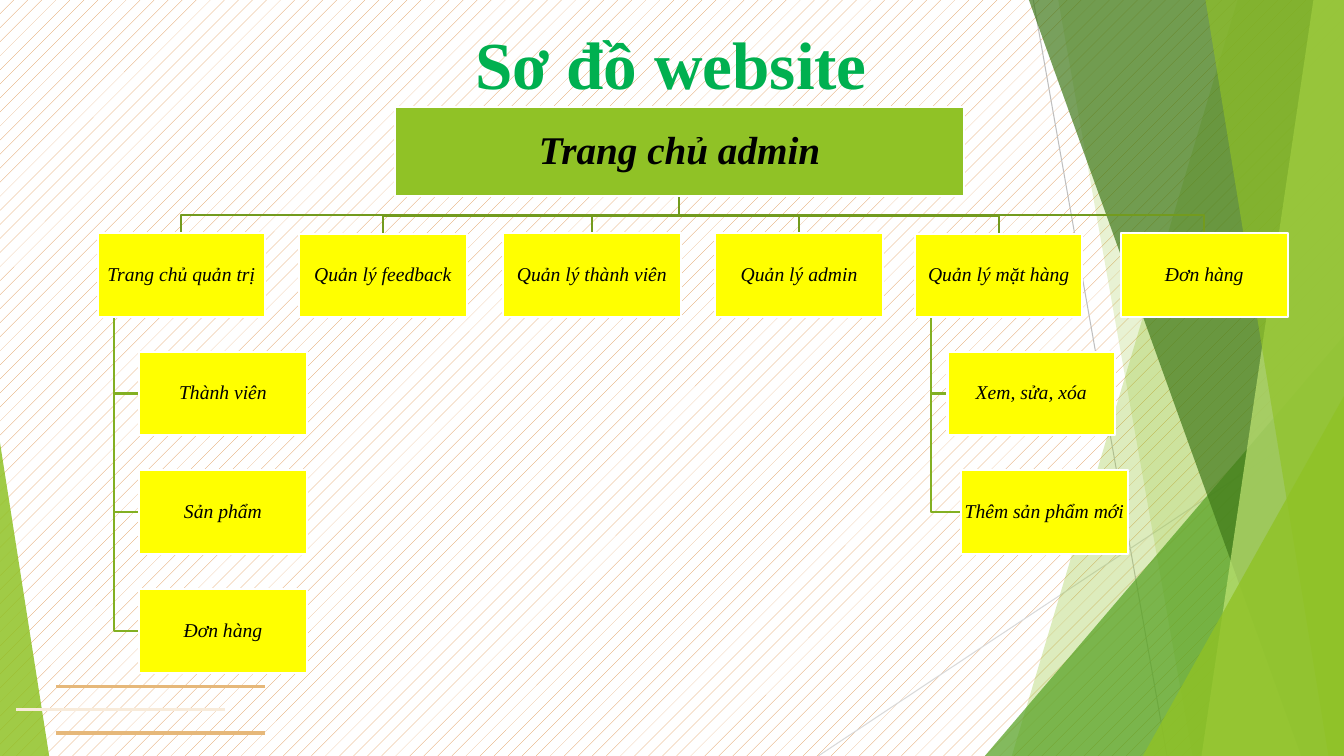
import pptx
import pptx.dml.color
import pptx.enum.dml
import pptx.enum.shapes
import pptx.enum.text
import pptx.oxml
import pptx.oxml.ns
import pptx.util
from lxml import etree

Cm, Pt = pptx.util.Cm, pptx.util.Pt
MSO_SHAPE = pptx.enum.shapes.MSO_SHAPE
qn = pptx.oxml.ns.qn
WIDTH, HEIGHT = 33.87, 19.05


def rgb(hex_string):
    return pptx.dml.color.RGBColor.from_string(hex_string)


def add_line(x1, y1, x2, y2, color, width):
    s = shapes.add_connector(pptx.enum.shapes.MSO_CONNECTOR.STRAIGHT,
                             Cm(x1), Cm(y1), Cm(x2), Cm(y2))
    s.line.color.rgb = rgb(color)
    s.line.width = Pt(width)
    etree.SubElement(s._element.spPr, qn("a:effectLst"))


prs = pptx.Presentation()
prs.slide_width, prs.slide_height = Cm(WIDTH), Cm(HEIGHT)
slide = prs.slides.add_slide(prs.slide_layouts[6])
shapes = slide.shapes

bg = slide.background.fill
bg.patterned()
bg.pattern = pptx.enum.dml.MSO_PATTERN.PERCENT_5
bg.fore_color.rgb = rgb("DD9048")
bg.back_color.rgb = rgb("FFFFFF")

# Green facets: a panel is (top x, bottom x) of its left edge and runs to the
# right edge of the slide; a triangle is (left, top, width, height, apex)
add_line(26.04, 0, 29.41, HEIGHT, "BFBFBF", 0.75)
add_line(WIDTH, 10.24, 20.62, HEIGHT, "D9D9D9", 0.75)
facets = [
    ("panel", (31.19, 25.5), "90C226", 30),
    ("panel", (26.67, 30.05), "90C226", 20),
    ("triangle", (24.82, 8.46, 9.05, 10.59, 1), "54A021", 72),
    ("panel", (25.93, 32.79), "3F7819", 70),
    ("panel", (33.1, 30.28), "C0E474", 70),
    ("panel", (30.38, 33.48), "90C226", 65),
    ("triangle", (28.8, 9.98, 5.07, 9.07, 1), "90C226", 80),
    ("triangle", (0, 11.15, 1.24, 7.9, 0), "90C226", 85),
]
for kind, geometry, color, opacity in facets:
    if kind == "panel":
        top_x, bottom_x = geometry
        builder = shapes.build_freeform(Cm(top_x), Cm(0))
        builder.add_line_segments([(Cm(WIDTH), Cm(0)), (Cm(WIDTH), Cm(HEIGHT)),
                                   (Cm(bottom_x), Cm(HEIGHT))], close=True)
        s = builder.convert_to_shape()
    else:
        *box, apex = geometry
        s = shapes.add_shape(MSO_SHAPE.ISOSCELES_TRIANGLE, *map(Cm, box))
        s.adjustments[0] = apex
    s.shadow.inherit = False
    s.line.fill.background()
    s.fill.solid()
    s.fill.fore_color.rgb = rgb(color)
    clr = s._element.spPr.find(qn("a:solidFill"))[0]
    etree.SubElement(clr, qn("a:alpha")).set("val", str(opacity * 1000))

# Site map: (label, left, top, width, left edges and labels of the sub-pages)
BOX_W, BOX_H = 4.22, 2.11
ROOT_X, ROOT_BOTTOM = 17.12, 4.97
SUB_TOP, SUB_STEP = 8.86, 2.99
pages = [
    ("Trang chủ quản trị", 2.46, 5.87, BOX_W,
     [(3.51, "Thành viên"), (3.51, "Sản phẩm"), (3.51, "Đơn hàng")]),
    ("Quản lý feedback", 7.54, 5.89, BOX_W, []),
    ("Quản lý thành viên", 12.67, 5.87, 4.5, []),
    ("Quản lý admin", 18.03, 5.87, BOX_W, []),
    ("Quản lý mặt hàng", 23.06, 5.89, BOX_W,
     [(23.88, "Xem, sửa, xóa"), (24.21, "Thêm sản phẩm mới")]),
    ("Đơn hàng", 28.24, 5.87, BOX_W, []),
]
boxes = [("Trang chủ admin", 9.96, 2.69, 14.33, 2.26, "90C226", 28, True)]
branches = []
for label, left, top, width, subs in pages:
    boxes.append((label, left, top, width, BOX_H, "FFFF00", 14, False))
    bend, center = (ROOT_BOTTOM + top) / 2, left + width / 2
    branches.append(("739B1E", [(ROOT_X, ROOT_BOTTOM), (ROOT_X, bend),
                                (center, bend), (center, top)]))
    trunk = left + 0.41
    for i, (sub_left, sub_label) in enumerate(subs):
        sub_top = SUB_TOP + i * SUB_STEP
        middle = sub_top + BOX_H / 2
        boxes.append((sub_label, sub_left, sub_top, BOX_W, BOX_H, "FFFF00", 14, False))
        branches.append(("83B022", [(trunk, top + BOX_H), (trunk, middle),
                                    (sub_left, middle)]))

for color, points in branches:
    start, *rest = [(Cm(x), Cm(y)) for x, y in points]
    builder = shapes.build_freeform(*start)
    builder.add_line_segments(rest, close=False)
    s = builder.convert_to_shape()
    s.shadow.inherit = False
    s.fill.background()
    s.line.color.rgb = rgb(color)
    s.line.width = Pt(1.5)

texts = []
for label, left, top, width, height, color, size, bold in boxes:
    s = shapes.add_shape(MSO_SHAPE.RECTANGLE, Cm(left), Cm(top), Cm(width), Cm(height))
    s.shadow.inherit = False
    s.fill.solid()
    s.fill.fore_color.rgb = rgb(color)
    s.line.color.rgb = rgb("FFFFFF")
    s.line.width = Pt(1.5)
    tf = s.text_frame
    tf.margin_left = tf.margin_right = tf.margin_top = tf.margin_bottom = Cm(0.03)
    tf.vertical_anchor = pptx.enum.text.MSO_ANCHOR.MIDDLE
    texts.append((tf, label, size, "000000", bold, True))

for right, y, color in [(5.66, 17.88, "F8EBDA"), (6.68, 18.47, "E6B87A"),
                        (6.68, 17.3, "E6B87A")]:
    add_line(right, y, right - 5.26, y, color, 2.25)

title = shapes.add_textbox(Cm(1.42), Cm(0.66), Cm(30.99), Cm(1.83))
texts.append((title.text_frame, "Sơ đồ website", 48, "00B050", True, False))

for tf, text, size, color, bold, italic in texts:
    tf.word_wrap = True
    p = tf.paragraphs[0]
    p.alignment = pptx.enum.text.PP_ALIGN.CENTER
    p.line_spacing = 0.9
    r = p.add_run()
    r.text = text
    r.font.name = "Times New Roman"
    r.font.size = Pt(size)
    r.font.bold = bold
    r.font.italic = italic
    r.font.color.rgb = rgb(color)

# Outline of the title letters
r.font._element.insert(0, pptx.oxml.parse_xml(
    '<a:ln xmlns:a="http://schemas.openxmlformats.org/drawingml/2006/main" w="22225">'
    '<a:solidFill><a:srgbClr val="54A021"/></a:solidFill></a:ln>'))

prs.save("out.pptx")
